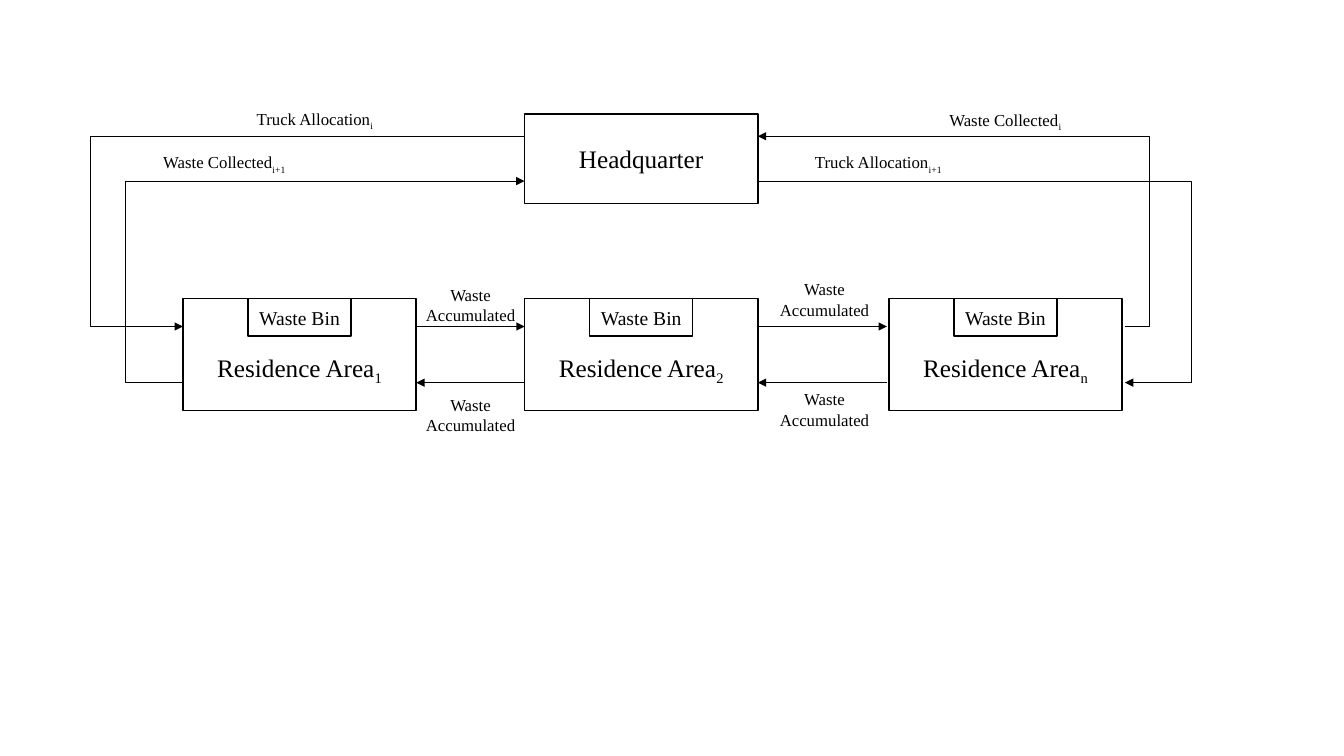
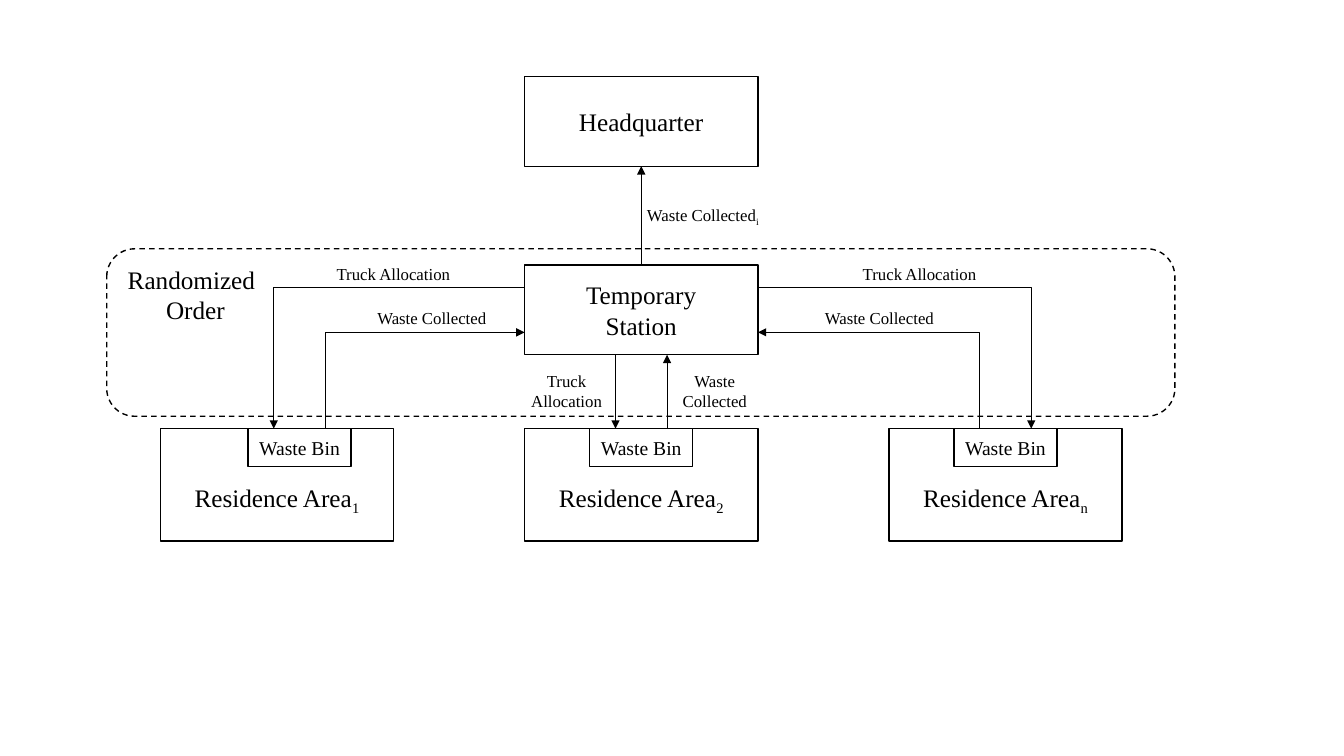
from dataclasses import dataclass

from lxml.etree import SubElement
from pptx import Presentation
from pptx.dml.color import RGBColor
from pptx.enum.dml import MSO_LINE
from pptx.enum.shapes import MSO_CONNECTOR as LINK, MSO_SHAPE as SHAPE
from pptx.enum.text import MSO_ANCHOR as ANCHOR, PP_ALIGN as ALIGN
from pptx.oxml.ns import qn
from pptx.util import Cm, Pt


@dataclass(frozen=True)
class Theme:
    font: str = "Times New Roman"
    ink: RGBColor = RGBColor(0, 0, 0)
    paper: RGBColor = RGBColor(255, 255, 255)
    heading: float = 18
    bin: float = 14
    label: float = 12
    border: float = 1
    flow: float = 0.5


THEME = Theme()

# Shared layout, in centimetres
AREA_W, AREA_H = 5.88, 2.83
BIN_W, BIN_H = 2.6, 0.95
OFFICE_H = 2.26
MIDDLE_X, PITCH = 13.22, 9.18
LAST_X = MIDDLE_X + PITCH
LABEL_H, TWO_LINES = 0.77, 1.27
TRUCK_W, WASTE_W, ACCUMULATED_W = 4.29, 4.85, 3.56


def write(frame, text, size=THEME.label, sub="", align=ALIGN.CENTER):
    """Fill a frame, one paragraph per line, with an optional subscript."""
    frame.word_wrap = True
    frame.text = text
    if sub:
        subscript = frame.paragraphs[-1].add_run()
        subscript.text = sub
        subscript._r.get_or_add_rPr().set("baseline", "-25000")
    for paragraph in frame.paragraphs:
        paragraph.alignment = align
        for run in paragraph.runs:
            run.font.name, run.font.size = THEME.font, Pt(size)
            run.font.color.rgb = THEME.ink


def spot(box, across, down):
    """Point at a fraction of a box's width and height."""
    return (box.left.cm + across * box.width.cm,
            box.top.cm + down * box.height.cm)


class Diagram:
    def __init__(self, theme):
        self.theme = theme
        self.deck = Presentation()
        self.deck.slide_width, self.deck.slide_height = Cm(33.87), Cm(19.05)
        self.slide = None

    def new_slide(self):
        self.slide = self.deck.slides.add_slide(self.deck.slide_layouts[6])

    def outline(self, kind, x, y, w, h):
        shape = self.slide.shapes.add_shape(kind, Cm(x), Cm(y), Cm(w), Cm(h))
        shape.shadow.inherit = False
        shape.line.color.rgb = self.theme.ink
        shape.line.width = Pt(self.theme.border)
        return shape

    def box(self, text, x, y, w, h, **style):
        box = self.outline(SHAPE.RECTANGLE, x, y, w, h)
        box.fill.solid()
        box.fill.fore_color.rgb = self.theme.paper
        box.text_frame.vertical_anchor = ANCHOR.MIDDLE
        write(box.text_frame, text, **style)
        return box

    def office(self, text, y):
        return self.box(text, MIDDLE_X, y, AREA_W, OFFICE_H,
                        size=self.theme.heading)

    def zone(self, x, y, w, h):
        zone = self.outline(SHAPE.ROUNDED_RECTANGLE, x, y, w, h)
        zone.fill.background()
        zone.line.dash_style = MSO_LINE.DASH

    def area(self, number, x, y, bin_shift=0):
        """Residence area with its waste bin on the top edge."""
        area = self.box("Residence Area", x, y, AREA_W, AREA_H,
                        size=self.theme.heading, sub=number)
        area.text_frame.margin_top = Cm(0.86)
        bin_x = x + (AREA_W - BIN_W) / 2 + bin_shift
        waste_bin = self.box("Waste Bin", bin_x, y, BIN_W, BIN_H,
                             size=self.theme.bin)
        return area, waste_bin

    def label(self, text, x, y, w, h=LABEL_H, **style):
        label = self.slide.shapes.add_textbox(Cm(x), Cm(y), Cm(w), Cm(h))
        write(label.text_frame, text, **style)
        return label.text_frame

    def flow(self, start, end, kind=LINK.STRAIGHT):
        """Arrow from start to end."""
        flow = self.slide.shapes.add_connector(
            kind, *(Cm(value) for value in (*start, *end)))
        flow.line.color.rgb = self.theme.ink
        flow.line.width = Pt(self.theme.flow)
        SubElement(flow.line._get_or_add_ln(), qn("a:tailEnd"), type="triangle")
        SubElement(flow._element.spPr, qn("a:effectLst"))
        return flow

    def loop(self, start, end, turn_x):
        """Arrow that runs sideways to turn_x, then back to end."""
        flow = self.flow(start, end, LINK.ELBOW)
        bend = round(100000 * (turn_x - start[0]) / (end[0] - start[0]))
        guides = flow._element.spPr.prstGeom.get_or_add_avLst()
        SubElement(guides, qn("a:gd"), name="adj1", fmla=f"val {bend}")

    def corner(self, start, end):
        """Arrow with one bend; a rising one leaves its start upwards."""
        (x1, y1), (x2, y2) = start, end
        rising = y2 < y1
        if rising:  # lay the bend flat, then turn it a quarter to the left
            mid_x, mid_y = (x1 + x2) / 2, (y1 + y2) / 2
            half_w, half_h = (y1 - y2) / 2, (x2 - x1) / 2
            start = mid_x - half_w, mid_y - half_h
            end = mid_x + half_w, mid_y + half_h
        flow = self.flow(start, end, LINK.ELBOW)
        flow._element.spPr.prstGeom.set("prst", "bentConnector2")
        if rising:
            flow._element.spPr.xfrm.set("rot", "16200000")


diagram = Diagram(THEME)

# Slide 1: trucks pass through the areas in a chain
diagram.new_slide()
area_y = 7.52
first, _ = diagram.area("1", 4.61, area_y)
second, _ = diagram.area("2", MIDDLE_X, area_y)
last, _ = diagram.area("n", LAST_X, area_y)
headquarter = diagram.office("Headquarter", 2.87)

# Loops between headquarter and the outer areas
last_out, last_in = ((x + 0.07, y) for x, y in
                     (spot(last, 1, 0.25), spot(last, 1, 0.75)))
diagram.loop(spot(headquarter, 0, 0.25), spot(first, 0, 0.25), 2.27)
diagram.loop(spot(first, 0, 0.75), spot(headquarter, 0, 0.75), 3.16)
diagram.loop(last_out, spot(headquarter, 1, 0.25), 28.98)
diagram.loop(spot(headquarter, 1, 0.75), last_in, 30.02)
diagram.label("Truck Allocation", 5.79, 2.62, TRUCK_W, sub="i")
diagram.label("Waste Collected", 22.91, 2.64, WASTE_W, sub="i")
diagram.label("Truck Allocation", 19.99, 3.71, TRUCK_W, sub="i+1")
diagram.label("Waste Collected", 3.23, 3.71, WASTE_W, sub="i+1")

# Exchange between neighbouring areas
for left, right, gap, label_x, label_y in (
        (first, second, 0, 10.08, 7.04), (second, last, 0.05, 19, 6.91)):
    right_x = spot(right, 0, 0)[0] - gap
    diagram.flow(spot(left, 1, 0.25), (right_x, spot(right, 0, 0.25)[1]))
    diagram.flow((right_x, spot(right, 0, 0.75)[1]), spot(left, 1, 0.75))
    for y in (label_y, label_y + 2.77):
        diagram.label("Waste\nAccumulated", label_x, y, ACCUMULATED_W, TWO_LINES)

# Slide 2: a temporary station serves the areas in random order
diagram.new_slide()
diagram.zone(2.69, 6.27, 26.92, 4.22)
area_y = 10.8
_, first_bin = diagram.area("1", MIDDLE_X - PITCH, area_y, bin_shift=0.57)
_, second_bin = diagram.area("2", MIDDLE_X, area_y)
_, last_bin = diagram.area("n", LAST_X, area_y)
headquarter = diagram.office("Headquarter", 1.93)
station = diagram.office("Temporary\nStation", 6.68)

# Station to headquarter
diagram.flow(spot(station, 0.5, 0), spot(headquarter, 0.5, 1))
diagram.label("Waste Collected", 15.29, 5.03, WASTE_W, sub="i")
order = diagram.label("Randomized\nOrder", 2.97, 6.53, 3.91, 1.8,
                      size=THEME.heading)
order.paragraphs[0].alignment = ALIGN.LEFT

# Station to the outer bins and back
for waste_bin, side, truck_at, waste_at, truck_x, waste_x in (
        (first_bin, 0, 0.25, 0.75, 7.77, 8.74),
        (last_bin, 1, 0.75, 0.25, 21.03, 20.02)):
    diagram.corner(spot(station, side, 0.25), spot(waste_bin, truck_at, 0))
    diagram.corner(spot(waste_bin, waste_at, 0), spot(station, side, 0.75))
    diagram.label("Truck Allocation", truck_x, 6.53, TRUCK_W)
    diagram.label("Waste Collected", waste_x, 7.62, TRUCK_W)

# Station to the middle bin and back
station_y = spot(station, 0, 1)[1]
truck_stop, waste_stop = (spot(second_bin, part, 0) for part in (0.25, 0.75))
diagram.flow((truck_stop[0], station_y), truck_stop)
diagram.flow(waste_stop, (waste_stop[0], station_y))
diagram.label("Truck\nAllocation", 13.11, 9.22, 2.34, TWO_LINES)
diagram.label("Waste\nCollected", 16.81, 9.22, 2.41, TWO_LINES)

diagram.deck.save("out.pptx")
